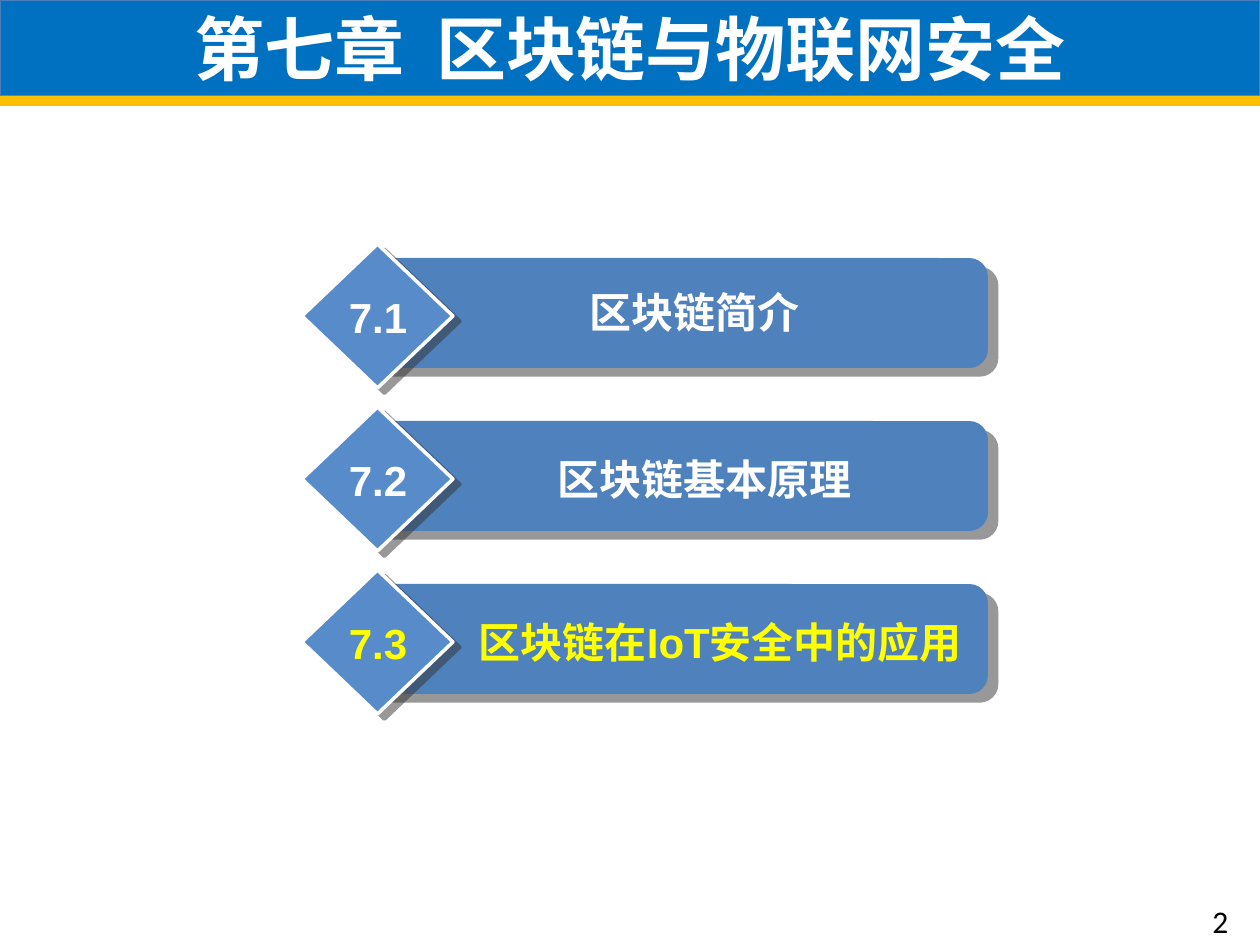
import pptx
import pptx.util
import pptx.dml.color
import pptx.enum.shapes
import pptx.enum.text
import pptx.oxml
import pptx.oxml.ns
import lxml.etree

TITLE = "第七章  区块链与物联网安全"
PAGE = "2"
SECTIONS = [
    {"number": "7.1", "name": "区块链简介", "color": "FFFFFF", "box": (421, 22, 547)},
    {"number": "7.2", "name": "区块链基本原理", "color": "FFFFFF", "box": (442, 26, 525)},
    {"number": "7.3", "name": "区块链在IoT安全中的应用", "color": "FFFF00", "box": (442, 26, 557)},
]
CJK = "Noto Sans CJK SC"
FIRST_TOP, PITCH = 258, 163
BAR_SHADOW = ("333333", 50, 0, 7.8, 40)
DIAMOND_SHADOW = ("333333", 50, 0, 5, 37)
TITLE_SHADOW = ("000000", 38, 3.1, 1.6, 90)

SHAPE = pptx.enum.shapes.MSO_SHAPE
ALIGN = pptx.enum.text.PP_ALIGN
qn = pptx.oxml.ns.qn


def px(n):
    return round(n * 914400 / 126)


def rgb(value):
    return pptx.dml.color.RGBColor.from_string(value)


def place(sp, box):
    for name, n in zip(("left", "top", "width", "height"), box):
        setattr(sp, name, px(n))


def style(sp, fill, line=None, shadow=None):
    sp.fill.solid()
    sp.fill.fore_color.rgb = rgb(fill)
    if line:
        sp.line.color.rgb = rgb(line[0])
        sp.line.width = pptx.util.Pt(line[1])
    else:
        sp.line.fill.background()
    sp.shadow.inherit = False
    if shadow:
        color, alpha, blur, dist, angle = shadow
        effects = sp._element.spPr.find(qn("a:effectLst"))
        outer = lxml.etree.SubElement(
            effects, qn("a:outerShdw"), blurRad=str(pptx.util.Pt(blur)),
            dist=str(pptx.util.Pt(dist)), dir=str(angle * 60000),
            algn="ctr", rotWithShape="0")
        clr = lxml.etree.SubElement(outer, qn("a:srgbClr"), val=color)
        lxml.etree.SubElement(clr, qn("a:alpha"), val=str(alpha * 1000))


def add_shape(shapes, kind, box, **look):
    sp = shapes.add_shape(kind, *map(px, box))
    style(sp, **look)
    return sp


def write(sp, text, color, size, font="Arial", bold=True, align=ALIGN.CENTER, wrap=True):
    tf = sp.text_frame
    tf.word_wrap = wrap
    p = tf.paragraphs[0]
    p.alignment = align
    r = p.add_run()
    r.text = text
    for name, value in {"name": font, "size": pptx.util.Pt(size), "bold": bold}.items():
        setattr(r.font, name, value)
    r.font.color.rgb = rgb(color)
    latin = r._r.rPr.find(qn("a:latin"))
    east = pptx.oxml.parse_xml(
        f'<a:ea {pptx.oxml.ns.nsdecls("a")} typeface="{CJK}"/>')
    latin.addnext(east)


def add_text(shapes, box, text, color, size, **look):
    write(shapes.add_textbox(*map(px, box)), text, color, size, **look)


def add_section(slide, top, section):
    shapes = slide.shapes.add_group_shape().shapes
    bar = add_shape(shapes, SHAPE.ROUNDED_RECTANGLE, (358, top, 630, 110),
                    fill="4F81BD", shadow=BAR_SHADOW)
    bar.adjustments[0] = 0.17
    add_shape(shapes, SHAPE.DIAMOND, (302, top - 14, 151, 144),
              fill="578BC9", line=("FFFFFF", 2), shadow=DIAMOND_SHADOW)
    left, drop, width = section["box"]
    add_text(shapes, (left, top + drop, width, 63), section["name"], section["color"], 24)
    add_text(shapes, (334, top + 27, 88, 63), section["number"], section["color"], 24, wrap=False)


def main():
    prs = pptx.Presentation()
    prs.slide_width, prs.slide_height = px(1260), px(945)
    s = prs.slides.add_slide(prs.slide_layouts[5])

    title = s.shapes.title
    place(title, (0, 0, 1260, 96))
    style(title, "0070C0", ("4B7EBC", 0.75), TITLE_SHADOW)
    title.text_frame.vertical_anchor = pptx.enum.text.MSO_ANCHOR.MIDDLE
    write(title, TITLE, "FFFFFF", 40, font=CJK)
    add_shape(s.shapes, SHAPE.RECTANGLE, (0, 96, 1260, 10), fill="FFC000")

    for i, section in enumerate(SECTIONS):
        add_section(s, FIRST_TOP + i * PITCH, section)

    add_text(s.shapes, (1200, 896, 59, 50), PAGE, "000000", 18,
             font="Calibri", bold=False, align=ALIGN.LEFT)
    prs.save("out.pptx")


if __name__ == "__main__":
    main()
